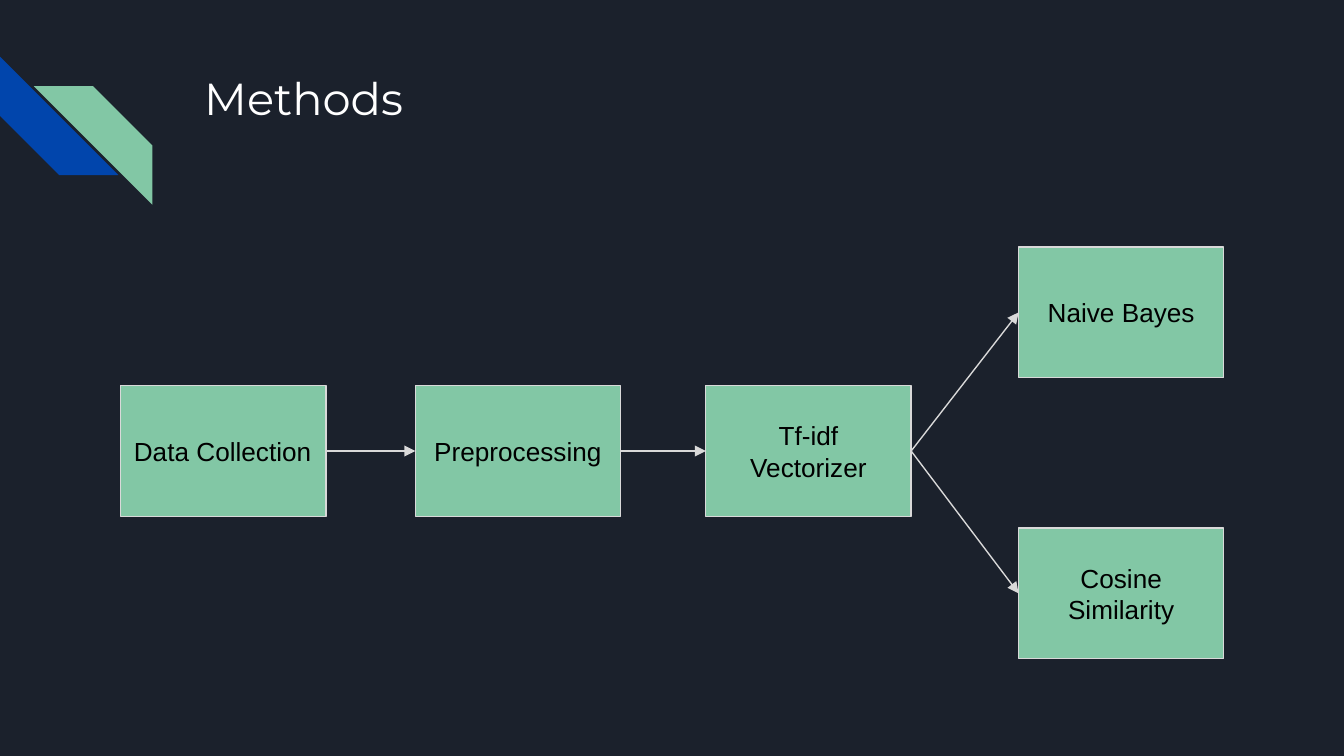
from pptx import Presentation
from pptx.dml.color import RGBColor
from pptx.enum import shapes, text
from pptx.oxml.ns import qn
from pptx.util import Cm, Pt
from lxml import etree

NAVY = RGBColor(0x1B, 0x21, 0x2C)
BLUE = RGBColor(0x01, 0x45, 0xAC)
GREEN = RGBColor(0x82, 0xC7, 0xA5)
GREY = RGBColor(0xD9, 0xD9, 0xD9)
WHITE = RGBColor(0xFF, 0xFF, 0xFF)
BLACK = RGBColor(0, 0, 0)


def add_shape(kind, left, top, width, height, color):
    shape = slide.shapes.add_shape(kind, Cm(left), Cm(top), Cm(width), Cm(height))
    shape.shadow.inherit = False
    shape.fill.solid()
    shape.fill.fore_color.rgb = color
    shape.line.fill.background()
    return shape


def write(frame, words, size, face, color, align, anchor):
    frame.word_wrap = True
    frame.auto_size = text.MSO_AUTO_SIZE.NONE
    frame.vertical_anchor = anchor
    frame.margin_left = frame.margin_right = Cm(0.25)
    frame.margin_top = frame.margin_bottom = Cm(0.25)
    para = frame.paragraphs[0]
    para.alignment = align
    run = para.add_run()
    run.text = words
    run.font.size = Pt(size)
    run.font.name = face
    run.font.color.rgb = color


prs = Presentation()
prs.slide_width = Cm(25.4)
prs.slide_height = Cm(14.29)
slide = prs.slides.add_slide(prs.slide_layouts[5])
slide.background.fill.solid()
slide.background.fill.fore_color.rgb = NAVY

stripe = shapes.MSO_SHAPE.DIAGONAL_STRIPE
blue = add_shape(stripe, 0, 1.07, 2.24, 2.24, BLUE)
blue.rotation = 270
green = add_shape(stripe, 0.64, 1.63, 2.24, 2.24, GREEN)
green._element.spPr.find(qn("a:xfrm")).set("flipH", "1")

title = slide.shapes.title
title.left, title.top = Cm(3.61), Cm(1.09)
title.width, title.height = Cm(19.56), Cm(2.54)
write(title.text_frame, "Methods", 24, "Montserrat", WHITE,
      text.PP_ALIGN.LEFT, text.MSO_ANCHOR.TOP)

steps = [
    ("Data Collection", 2.28, 7.29, text.PP_ALIGN.LEFT),
    ("Preprocessing", 7.85, 7.29, text.PP_ALIGN.CENTER),
    ("Tf-idf Vectorizer", 13.34, 7.29, text.PP_ALIGN.CENTER),
    ("Cosine Similarity", 19.25, 9.98, text.PP_ALIGN.CENTER),
    ("Naive Bayes", 19.25, 4.67, text.PP_ALIGN.CENTER),
]
boxes = []
for words, left, top, align in steps:
    box = add_shape(shapes.MSO_SHAPE.RECTANGLE, left, top, 3.88, 2.47, GREEN)
    box.line.color.rgb = GREY
    box.line.width = Pt(0.75)
    write(box.text_frame, words, 14, "Arial", BLACK, align, text.MSO_ANCHOR.MIDDLE)
    boxes.append(box)

for start, end in [(0, 1), (1, 2), (2, 4), (2, 3)]:
    arrow = slide.shapes.add_connector(shapes.MSO_CONNECTOR.STRAIGHT, 0, 0, 0, 0)
    arrow.begin_connect(boxes[start], 3)
    arrow.end_connect(boxes[end], 1)
    arrow.line.color.rgb = GREY
    arrow.line.width = Pt(0.75)
    tail = etree.SubElement(arrow.line._get_or_add_ln(), qn("a:tailEnd"))
    tail.set("type", "triangle")
    tail.set("w", "med")
    tail.set("len", "med")
    etree.SubElement(arrow._element.spPr, qn("a:effectLst"))

prs.save("out.pptx")
